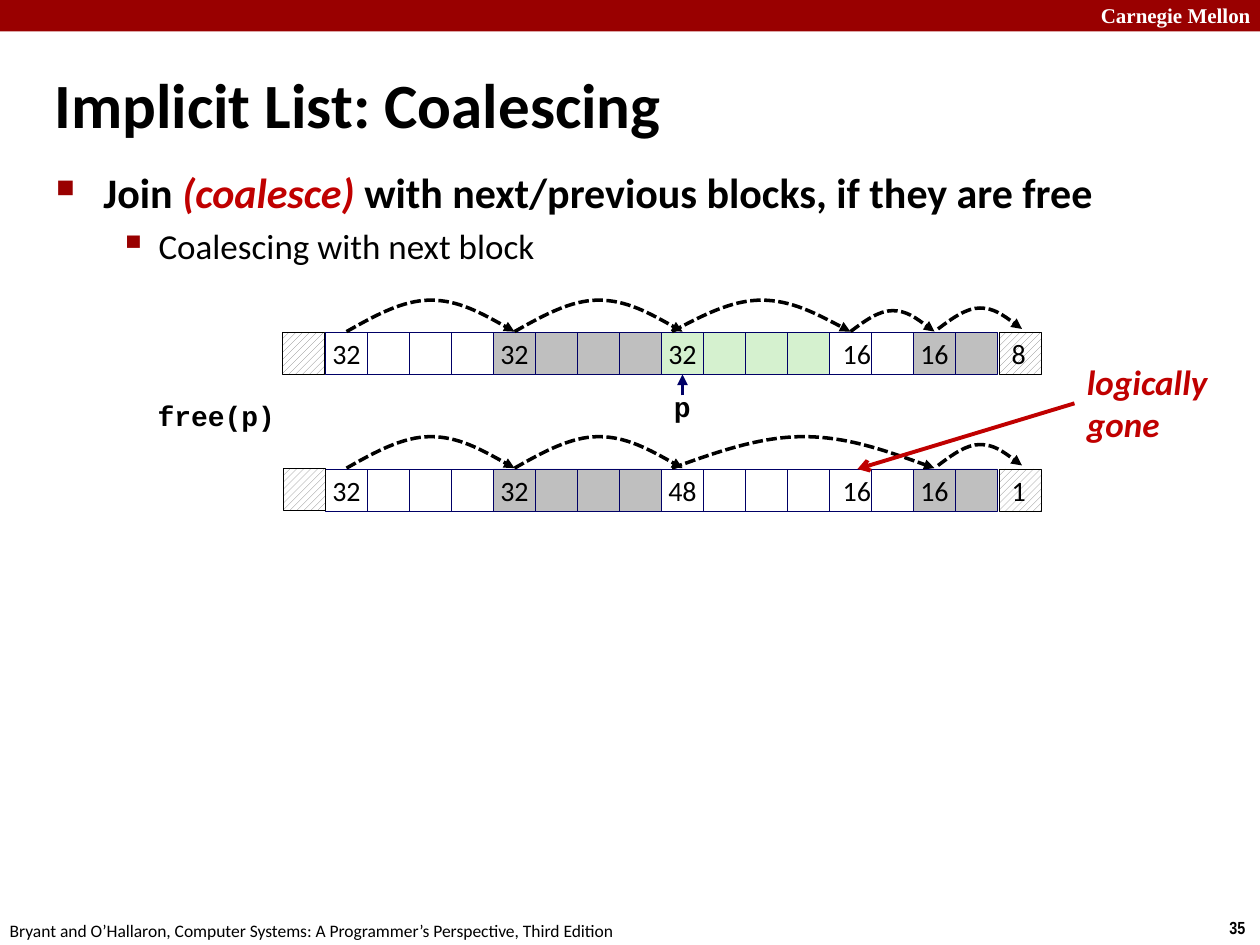
from dataclasses import dataclass
from typing import NamedTuple, Optional

from lxml.etree import SubElement
from pptx import Presentation
from pptx.dml.color import RGBColor as RGB
from pptx.enum.dml import MSO_LINE, MSO_PATTERN
from pptx.enum.shapes import MSO_CONNECTOR, MSO_SHAPE
from pptx.enum.text import MSO_ANCHOR as Anchor, MSO_AUTO_SIZE as AutoSize, PP_ALIGN as Align
from pptx.oxml.ns import qn
from pptx.util import Pt


@dataclass(frozen=True)
class Theme:
    black: RGB = RGB(0x00, 0x00, 0x00)
    white: RGB = RGB(0xFF, 0xFF, 0xFF)
    banner: RGB = RGB(0x99, 0x00, 0x00)
    accent: RGB = RGB(0xC0, 0x00, 0x00)
    outline: RGB = RGB(0x00, 0x00, 0x66)
    allocated: RGB = RGB(0xBF, 0xBF, 0xBF)
    freed: RGB = RGB(0xD5, 0xF1, 0xCF)
    hatch: RGB = RGB(0x80, 0x80, 0x80)
    sans: str = "Calibri"
    code: str = "Courier New"
    title: int = 36
    heading: int = 24
    body: int = 20
    label: int = 16
    banner_size: int = 12
    footer: int = 10


THEME = Theme()
CELL = 24
LIST_LEFT = 186
CELL_COUNT = 16


class Box(NamedTuple):
    left: float
    top: float
    width: float
    height: float

    def lengths(self) -> list:
        return [Pt(value) for value in self]


class Block(NamedTuple):
    """A run of equal cells, with its size written in the first one."""
    cells: int
    text: str
    fill: RGB


class Arc(NamedTuple):
    start: float
    end: float
    height: float = 18
    lift: float = 0.5


class HeapList(NamedTuple):
    top: float
    front_left: float
    blocks: list
    arcs: list
    end_text: str


class Bullet(NamedTuple):
    character: str
    percent: int
    margin: float
    indent: float


def style(size: int, color: RGB = THEME.black, name: str = THEME.sans, **others) -> dict:
    return {"size": Pt(size), "color": color, "name": name, **others}


def add_run(paragraph, text: str, values: dict) -> None:
    run = paragraph.add_run()
    run.text = text
    for name, value in values.items():
        if name == "color":
            run.font.color.rgb = value
        else:
            setattr(run.font, name, value)


def add_text(slide, box: Box, lines: list, values: dict, **frame_values):
    """Add a text box; spacing in frame_values is the line spacing."""
    frame = slide.shapes.add_textbox(*box.lengths()).text_frame
    spacing = frame_values.pop("spacing", None)
    settings = {"word_wrap": False, "auto_size": AutoSize.SHAPE_TO_FIT_TEXT, **frame_values}
    for name, value in settings.items():
        setattr(frame, name, value)
    for index, line in enumerate(lines):
        paragraph = frame.add_paragraph() if index else frame.paragraphs[0]
        paragraph.line_spacing = spacing
        add_run(paragraph, line, values)


def add_bullet(paragraph, bullet: Bullet) -> None:
    properties = paragraph._p.get_or_add_pPr()
    properties.set("marL", str(Pt(bullet.margin)))
    properties.set("indent", str(Pt(bullet.indent)))
    color = SubElement(properties, qn("a:buClr"))
    SubElement(color, qn("a:srgbClr"), val=str(THEME.banner))
    SubElement(properties, qn("a:buSzPct"), val=str(bullet.percent * 1000))
    SubElement(properties, qn("a:buChar"), char=bullet.character)


def add_rectangle(slide, box: Box, fill: Optional[RGB], line: Optional[RGB] = None,
                  text: str = "", align: Align = Align.CENTER) -> None:
    """Add a rectangle, hatched when it has no fill colour."""
    shape = slide.shapes.add_shape(MSO_SHAPE.RECTANGLE, *box.lengths())
    shape.shadow.inherit = False
    if fill is None:
        shape.fill.patterned()
        shape.fill.pattern = MSO_PATTERN.WIDE_UPWARD_DIAGONAL
        shape.fill.fore_color.rgb, shape.fill.back_color.rgb = THEME.hatch, THEME.white
    else:
        shape.fill.solid()
        shape.fill.fore_color.rgb = fill
    if line is None:
        shape.line.fill.background()
    else:
        shape.line.color.rgb, shape.line.width = line, Pt(0.25)
    if text:
        shape.text_frame.word_wrap = False
        shape.text_frame.vertical_anchor = Anchor.MIDDLE
        paragraph = shape.text_frame.paragraphs[0]
        paragraph.alignment = align
        add_run(paragraph, text, style(THEME.label))


def set_arrow_line(shape, color: RGB, width: float, head: str, dash=None) -> None:
    shape.line.color.rgb, shape.line.width = color, Pt(width)
    if dash is not None:
        shape.line.dash_style = dash
    SubElement(shape.line._get_or_add_ln(), qn("a:tailEnd"), type=head)


def add_arrow(slide, start: tuple, end: tuple, color: RGB, width: float, head: str) -> None:
    ends = [Pt(value) for value in (*start, *end)]
    connector = slide.shapes.add_connector(MSO_CONNECTOR.STRAIGHT, *ends)
    set_arrow_line(connector, color, width, head)
    SubElement(connector._element.spPr, qn("a:effectLst"))


def add_arc(slide, arc: Arc, row_top: float) -> None:
    """Draw a dashed hop between two blocks as two mirrored Bezier curves."""
    base, width = row_top - arc.lift, arc.end - arc.start
    builder = slide.shapes.build_freeform(Pt(arc.start), Pt(base))
    peak = (Pt(arc.start + width / 2), Pt(base - arc.height))
    builder.add_line_segments([peak, (Pt(arc.end), Pt(base))], close=False)
    shape = builder.convert_to_shape()
    shape.shadow.inherit = False
    shape.fill.background()
    set_arrow_line(shape, THEME.black, 2, "triangle", MSO_LINE.SQUARE_DOT)
    curves = [[(1 / 6, 0.5), (1 / 3, 0), (1 / 2, 0)], [(2 / 3, 0), (5 / 6, 0.5), (1, 1)]]
    outline = shape._element.spPr.find(".//" + qn("a:path"))
    for segment, points in zip(outline.findall(qn("a:lnTo")), curves):
        outline.remove(segment)
        curve = SubElement(outline, qn("a:cubicBezTo"))
        for x, y in points:
            SubElement(curve, qn("a:pt"), x=str(Pt(x * width)), y=str(Pt(y * arc.height)))


def add_heap_list(slide, heap: HeapList) -> None:
    left = LIST_LEFT
    for block in heap.blocks:
        for index in range(block.cells):
            add_rectangle(slide, Box(left, heap.top, CELL, CELL), block.fill,
                          THEME.outline, "" if index else block.text)
            left += CELL
    add_rectangle(slide, Box(heap.front_left, heap.top - 0.25, CELL, CELL), None, THEME.black)
    add_rectangle(slide, Box(LIST_LEFT + CELL_COUNT * CELL + 1, heap.top, CELL, CELL), None,
                  THEME.black, heap.end_text, Align.LEFT)
    add_text(slide, Box(474.5, heap.top - 0.25, 31, 26.5), ["16"],
             style(THEME.label), spacing=0.98)
    for arc in heap.arcs:
        add_arc(slide, arc, heap.top)


def add_body(slide) -> None:
    frame = slide.shapes.add_textbox(*Box(25, 96.5, 654.5, 432).lengths()).text_frame
    frame.word_wrap = True
    strong = style(THEME.heading, bold=True)
    emphasis = style(THEME.heading, THEME.accent, bold=True, italic=True)
    first, second = frame.paragraphs[0], frame.add_paragraph()
    first.line_spacing, second.line_spacing = 0.83, 0.88
    second.space_before, second.level = Pt(7.5), 1
    add_bullet(first, Bullet("■", 60, 27, -27))
    add_bullet(second, Bullet("▪", 110, 58.5, -22.5))
    add_run(first, "Join ", strong)
    add_run(first, "(coalesce) ", emphasis)
    add_run(first, "with next/previous blocks, if they are free", strong)
    add_run(second, "Coalescing with next block", style(THEME.body))


def main() -> None:
    presentation = Presentation()
    presentation.slide_width, presentation.slide_height = Pt(720), Pt(540)
    slide = presentation.slides.add_slide(presentation.slide_layouts[6])

    add_rectangle(slide, Box(0, 0, 720, 18), THEME.banner)
    add_text(slide, Box(622, -2, 103, 21.5), ["Carnegie Mellon"],
             style(THEME.banner_size, THEME.white, "Times New Roman", bold=True), word_wrap=True)
    add_text(slide, Box(695.5, 520.5, 24.5, 19.5), ["35"],
             style(THEME.footer, name="Arial Narrow", bold=True))
    add_text(slide, Box(-1.5, 522, 366, 19.5), [
        "Bryant and O’Hallaron, Computer Systems: A Programmer’s Perspective, Third Edition"],
        style(THEME.footer))
    add_text(slide, Box(24, 36, 533, 45.5), ["Implicit List: Coalescing"],
             style(THEME.title, bold=True), word_wrap=True, auto_size=AutoSize.NONE,
             vertical_anchor=Anchor.MIDDLE)
    add_body(slide)

    leading = [Block(4, "32", THEME.white), Block(4, "32", THEME.allocated)]
    trailing = [Block(2, "", THEME.white), Block(2, "16", THEME.allocated)]
    hops = [Arc(198, 294), Arc(294, 390)]
    last_hop = Arc(536, 584, 12, 2)
    before = HeapList(190, 161.5, [*leading, Block(4, "32", THEME.freed), *trailing],
                      [*hops, Arc(384, 486), Arc(486, 534, 12), last_hop], "8")
    after = HeapList(268, 162, [*leading, Block(4, "48", THEME.white), *trailing],
                     [*hops, Arc(384, 534), last_hop], "1")
    for heap in (before, after):
        add_heap_list(slide, heap)

    code = style(THEME.label, name=THEME.code, bold=True)
    add_text(slide, Box(83, 226, 82, 26), ["free(p)"], code, spacing=0.94)
    add_text(slide, Box(378, 220.5, 24, 26), ["p"], code, spacing=0.94)
    add_arrow(slide, (390, 226), (390, 214), THEME.outline, 2, "triangle")
    add_text(slide, Box(614, 202.5, 83.5, 55.5), ["logically", "gone"],
             style(THEME.body, THEME.accent, bold=True, italic=True))
    add_arrow(slide, (614, 230.5), (490, 268), THEME.accent, 2.25, "arrow")
    presentation.save("out.pptx")


if __name__ == "__main__":
    main()
